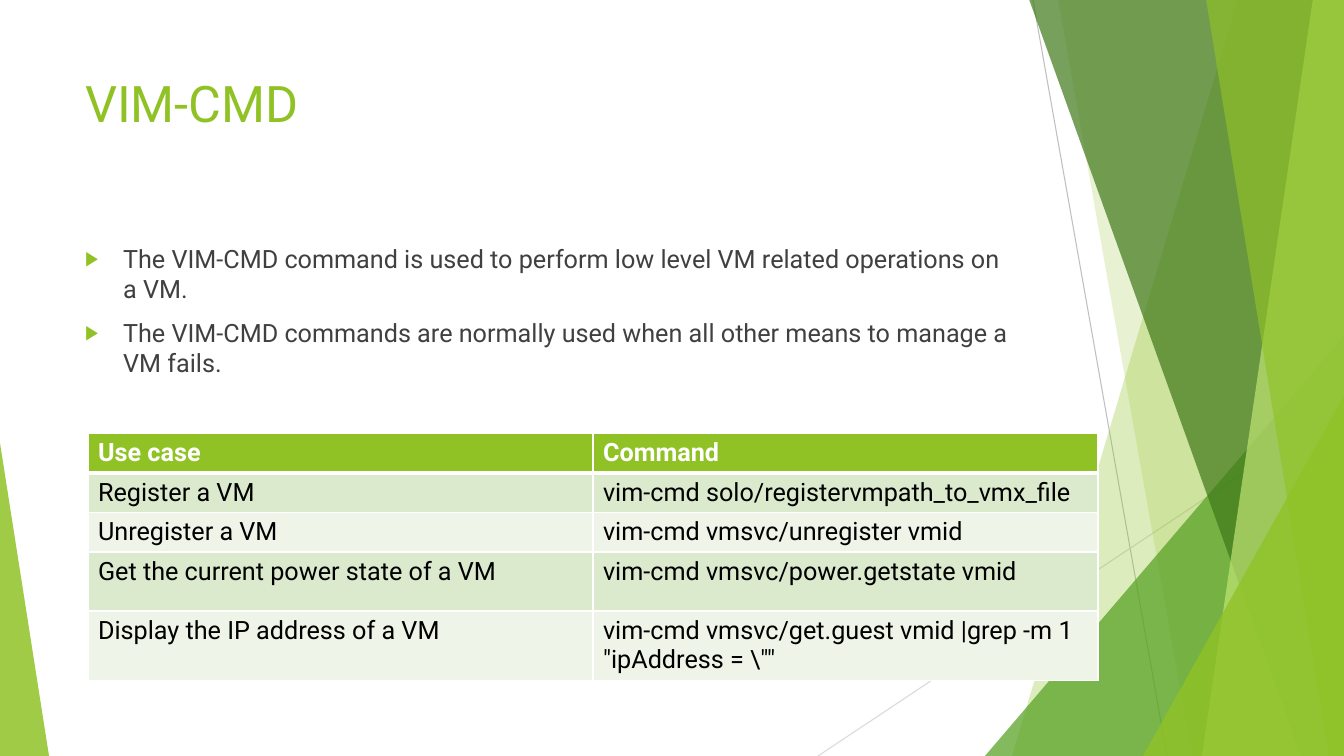
from dataclasses import dataclass

from lxml import etree
from pptx import Presentation
from pptx.dml.color import RGBColor
from pptx.enum.shapes import MSO_CONNECTOR, MSO_SHAPE
from pptx.enum.text import MSO_ANCHOR, MSO_AUTO_SIZE, PP_ALIGN
from pptx.oxml.ns import qn
from pptx.util import Emu, Pt

STRAIGHT = MSO_CONNECTOR.STRAIGHT
TRIANGLE = MSO_SHAPE.ISOSCELES_TRIANGLE
TOP = MSO_ANCHOR.TOP
LEFT = PP_ALIGN.LEFT
NO_FIT = MSO_AUTO_SIZE.NONE

WIDTH, HEIGHT = 1344, 756
EMU_PER_PX = 12192000 / WIDTH
FONT = "Roboto"
GREEN, WHITE, BLACK, GREY = "90C226", "FFFFFF", "000000", "404040"
ROW_TINTS = ("DBE9CD", "EEF4E8")


@dataclass(frozen=True)
class Ray:
    start: tuple[int, int]
    end: tuple[int, int]
    color: str


@dataclass(frozen=True)
class Band:
    top_x: int
    bottom_x: int
    color: str
    opacity: int


@dataclass(frozen=True)
class Wedge:
    left: int
    top: int
    width: int
    apex: int
    color: str
    opacity: int


RAYS = (
    Ray((1033, 0), (1167, HEIGHT), "BFBFBF"),
    Ray((WIDTH, 406), (818, HEIGHT), "D9D9D9"),
)
FACETS = (
    Band(1238, 1012, GREEN, 30),
    Band(1058, 1192, GREEN, 20),
    Wedge(985, 336, 359, 1, "54A021", 72),
    Band(1029, 1301, "3F7819", 70),
    Band(1313, 1202, "C0E474", 70),
    Band(1206, 1329, GREEN, 65),
    Wedge(1143, 396, 201, 1, GREEN, 80),
    Wedge(0, 443, 49, 0, GREEN, 85),
)
POINTS = (
    "The VIM-CMD command is used to perform low level VM related operations on a VM.",
    "The VIM-CMD commands are normally used when all other means to manage a VM fails.",
)
COMMANDS = (
    ("Use case", "Command"),
    ("Register a VM", "vim-cmd solo/registervmpath_to_vmx_file"),
    ("Unregister a VM", "vim-cmd vmsvc/unregister\u00a0vmid"),
    ("Get the current power state of a VM", "vim-cmd vmsvc/power.getstate\u00a0vmid"),
    ("Display the IP address of a VM",
     'vim-cmd vmsvc/get.guest vmid\u00a0|grep -m 1 "ipAddress = \\""'),
)
ROW_HEIGHTS = (34, 34, 34, 59, 59)
COLUMN_WIDTH = 505


def px(length: float) -> Emu:
    return Emu(round(length * EMU_PER_PX))


def set_color(target, color: str) -> None:
    target.rgb = RGBColor.from_string(color)


def set_font(paragraph, size: int, color: str, bold: bool = False) -> None:
    font = paragraph.font
    font.name, font.size, font.bold = FONT, Pt(size), bold
    set_color(font.color, color)


def set_fill(fill, color: str) -> None:
    fill.solid()
    set_color(fill.fore_color, color)


def draw_ray(slide, ray: Ray) -> None:
    line = slide.shapes.add_connector(STRAIGHT, *map(px, ray.start + ray.end))
    set_color(line.line.color, ray.color)
    line.line.width = Pt(0.75)
    etree.SubElement(line.element.spPr, qn("a:effectLst"))


def draw_facet(slide, facet: Band | Wedge) -> None:
    if isinstance(facet, Band):
        outline = slide.shapes.build_freeform(facet.top_x, -1, EMU_PER_PX)
        outline.add_line_segments(
            [(WIDTH, -1), (WIDTH, HEIGHT), (facet.bottom_x, HEIGHT)])
        shape = outline.convert_to_shape()
    else:
        shape = slide.shapes.add_shape(
            TRIANGLE, px(facet.left), px(facet.top),
            px(facet.width), px(HEIGHT - facet.top))
        shape.adjustments[0] = facet.apex
    set_fill(shape.fill, facet.color)
    color = shape.element.spPr.find(qn("a:solidFill"))[0]
    etree.SubElement(color, qn("a:alpha"), val=str(facet.opacity * 1000))
    shape.line.fill.background()
    shape.shadow.inherit = False


def place_text(slide, placeholder, top: int, height: int):
    slide.shapes.element.append(placeholder.element)
    placeholder.left, placeholder.top = px(75), px(top)
    placeholder.width, placeholder.height = px(948), px(height)
    frame = placeholder.text_frame
    frame.word_wrap = True
    frame.auto_size = NO_FIT
    frame.vertical_anchor = TOP
    return frame


def add_bullet(paragraph) -> None:
    properties = paragraph._p.get_or_add_pPr()
    properties.set("marL", str(px(38)))
    properties.set("indent", str(-px(38)))
    bullet_color = etree.SubElement(properties, qn("a:buClr"))
    etree.SubElement(bullet_color, qn("a:srgbClr"), val=GREEN)
    etree.SubElement(properties, qn("a:buSzPct"), val="80000")
    etree.SubElement(properties, qn("a:buChar"), char="▶")


def add_borders(cell, widths: dict[str, int]) -> None:
    properties = cell._tc.get_or_add_tcPr()
    for position, (side, width) in enumerate(widths.items()):
        border = etree.Element(qn(f"a:{side}"), w=str(Pt(width)))
        fill = etree.SubElement(border, qn("a:solidFill"))
        etree.SubElement(fill, qn("a:srgbClr"), val=WHITE)
        properties.insert(position, border)


def draw_commands(slide) -> None:
    table = slide.shapes.add_table(
        len(COMMANDS), 2, px(88), px(433),
        px(2 * COLUMN_WIDTH), px(sum(ROW_HEIGHTS))).table
    for column in table.columns:
        column.width = px(COLUMN_WIDTH)
    for index, (texts, height) in enumerate(zip(COMMANDS, ROW_HEIGHTS)):
        table.rows[index].height = px(height)
        header = index == 0
        for column_index, text in enumerate(texts):
            cell = table.cell(index, column_index)
            cell.text = text
            set_font(cell.text_frame.paragraphs[0], 18,
                     WHITE if header else BLACK, header)
            set_fill(cell.fill, GREEN if header else ROW_TINTS[(index - 1) % 2])
            add_borders(cell, {"lnL": 1, "lnR": 1,
                               "lnT": 3 if index == 1 else 1,
                               "lnB": 3 if header else 1})


def main() -> None:
    deck = Presentation()
    deck.slide_width, deck.slide_height = px(WIDTH), px(HEIGHT)
    slide = deck.slides.add_slide(deck.slide_layouts[1])

    for ray in RAYS:
        draw_ray(slide, ray)
    for facet in FACETS:
        draw_facet(slide, facet)

    heading = place_text(slide, slide.shapes.title, 67, 145)
    heading.text = "VIM-CMD"
    heading.paragraphs[0].alignment = LEFT
    set_font(heading.paragraphs[0], 36, GREEN)

    points = place_text(slide, slide.placeholders[1], 238, 427)
    points.text = "\n".join(POINTS)
    for point in points.paragraphs:
        add_bullet(point)
        point.space_before = Pt(10)
        set_font(point, 18, GREY)

    draw_commands(slide)
    deck.save("out.pptx")


main()
